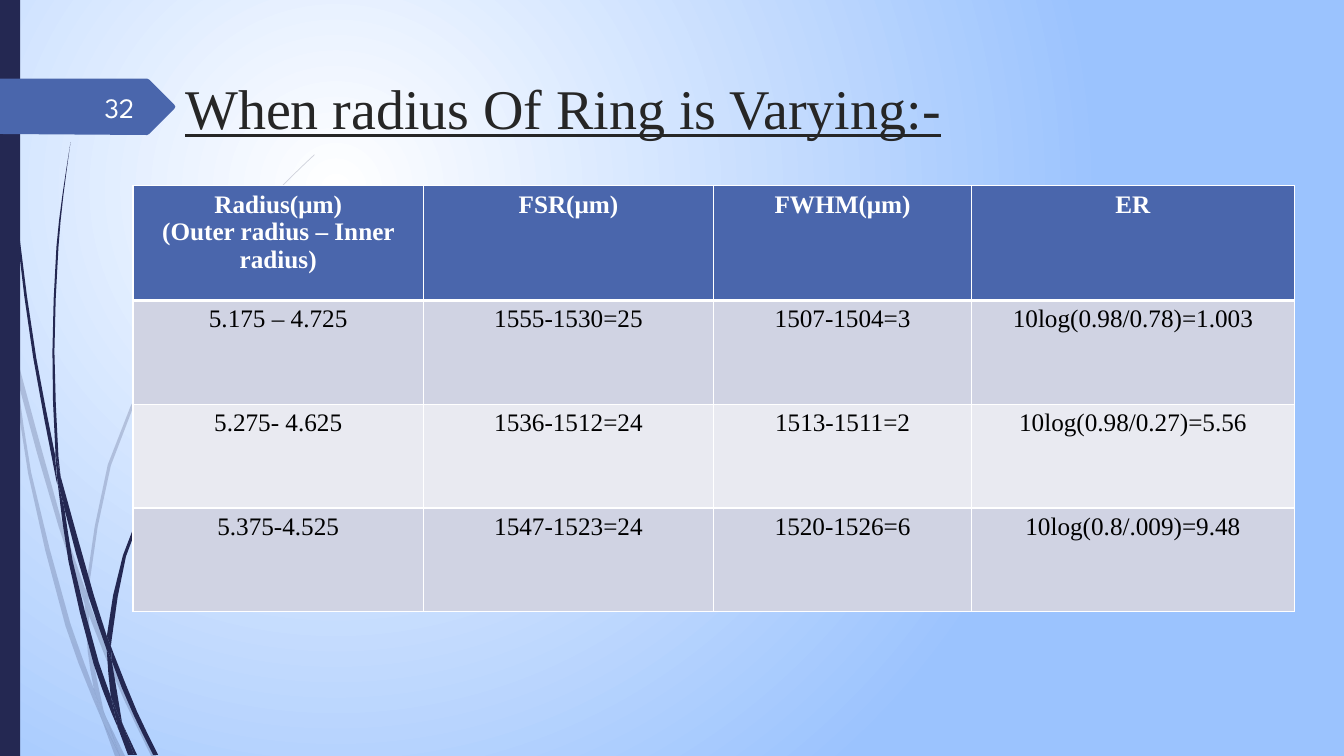
from dataclasses import dataclass

from pptx import Presentation
from pptx.dml.color import RGBColor
from pptx.enum.shapes import MSO_SHAPE
from pptx.enum.text import MSO_ANCHOR, PP_ALIGN
from pptx.oxml.ns import qn
from pptx.util import Pt
from lxml import etree

RECTANGLE = MSO_SHAPE.RECTANGLE
TOP, MIDDLE = MSO_ANCHOR.TOP, MSO_ANCHOR.MIDDLE
LEFT, CENTER, RIGHT = PP_ALIGN.LEFT, PP_ALIGN.CENTER, PP_ALIGN.RIGHT

NAVY, BLUE, WHITE = "242852", "4A66AC", "FFFFFF"
BANDS = ("D0D3E3", "E9EAF1")
SERIF = "Times New Roman"
UNIT = 0.72
CORNER_COSINE = 0.8
LONG_SPAN = 30

PALE_STRANDS = (
    "11,350 9,322 0,282 0,299 10,344",
    "58,522 84,599 85,586 62,520 14,345 17,376",
    "92,607 88,596 88,610 123,694 150,750 155,750 127,692",
    "119,750 124,750 105,711",
    "93,683 70,619 31,469 17,376 11,350 28,470 65,621 92,693 101,714 99,707",
    "84,599 87,646 93,683 96,692 105,711 103,706 91,646 88,610 88,608",
    "88,584 110,462 160,349 229,245 268,198 290,175 312,154 312,153 289,175 "
    "268,197 228,244 158,348 107,461 85,584 85,586 88,596",
    "101,714 114,750 119,750",
    "88,608 88,610 88,596 85,586 84,599",
    "96,692 93,683 99,707 101,714 119,750 105,711",
)
DARK_STRANDS = (
    "7,110 17,233 33,355 56,477 57,481 55,457 55,453 36,355 19,232 8,109 "
    "5,48 4,0 3,0 4,48",
    "88,592 106,645 106,633 106,631 93,590 60,472 64,505",
    "113,649 110,641 111,656 132,708 152,749 157,749 136,706",
    "110,691 98,657 72,556 64,505 57,477 68,557 93,659 111,708 117,722 116,717",
    "60,472 58,453 54,349 58,245 63,193 70,141 62,193 56,245 52,349 55,449",
    "133,749 136,749 122,719",
    "57,477 64,505 60,472 55,449 55,453",
    "111,633 125,552 158,476 205,406 231,374 245,359 261,344 260,344 245,358 "
    "231,373 204,405 156,474 122,551 106,631 110,641",
    "117,722 127,749 131,749",
    "106,645 110,691 116,706 122,719 121,716 111,656 109,651",
    "106,645 109,651 111,656 110,641 106,631 106,633",
    "116,706 110,691 116,717 117,722 130,749 133,749 122,719",
)
NUMBER_TAG = "0,78 146,78 148,79 173,104 174,106 173,108 148,133 146,134 0,133"

COLUMN_WIDTHS = (207.36, 207.36, 184.32, 230.4)
ROW_HEIGHTS = (82.08, 74.16, 74.16, 74.16)
ROWS = (
    ("Radius(μm)\n(Outer radius – Inner radius)", "FSR(μm)", "FWHM(μm)", "ER"),
    ("5.175 – 4.725", "1555-1530=25", "1507-1504=3", "10log(0.98/0.78)=1.003"),
    ("5.275- 4.625", "1536-1512=24", "1513-1511=2", "10log(0.98/0.27)=5.56"),
    ("5.375-4.525", "1547-1523=24", "1520-1526=6", "10log(0.8/.009)=9.48"),
)


@dataclass(frozen=True)
class Outline:
    points: str
    color: str
    opacity: int = 100
    steps: int = 2


@dataclass(frozen=True)
class Label:
    text: str
    frame: tuple[float, float, float, float]
    color: str
    font: dict
    align: PP_ALIGN = LEFT
    anchor: MSO_ANCHOR = TOP


OUTLINES = (
    *(Outline(points, NAVY, 20) for points in PALE_STRANDS),
    *(Outline(points, NAVY) for points in DARK_STRANDS),
)
LABELS = (
    Label("When radius Of Ring is Varying:-", (125.28, 48.96, 781.2, 100.8), "262626",
          {"name": SERIF, "size": Pt(40), "underline": True}),
    Label("32", (41.76, 61.92, 61.2, 28.8), "FEFFFF",
          {"name": "League Spartan", "size": Pt(20)}, RIGHT, MIDDLE),
)


def rgb(color: str) -> RGBColor:
    return RGBColor.from_string(color)


def paint_shape(shape, color: str, opacity: int = 100) -> None:
    shape.shadow.inherit = False
    shape.line.fill.background()
    shape.fill.solid()
    shape.fill.fore_color.rgb = rgb(color)
    if opacity < 100:
        tint = shape.element.spPr.find(qn("a:solidFill"))[0]
        etree.SubElement(tint, qn("a:alpha"), val=str(opacity * 1000))


def paint_background(page) -> None:
    fill = page.background.fill
    fill.gradient()
    for stop, color in zip(fill.gradient_stops, (WHITE, "9BC3FE")):
        stop.color.rgb = rgb(color)
    gradient = page.element.xpath(".//a:gradFill")[0]
    gradient.remove(gradient.find(qn("a:lin")))
    circle = etree.SubElement(gradient, qn("a:path"), path="circle")
    etree.SubElement(circle, qn("a:fillToRect"),
                     l="50000", t="50000", r="100000", b="100000")


def direction(before: complex, point: complex, after: complex) -> complex | None:
    arriving, leaving = point - before, after - point
    cosine = (arriving.conjugate() * leaving).real / (abs(arriving) * abs(leaving))
    chord = after - before
    return chord / abs(chord) if cosine > CORNER_COSINE else None


def smooth(points: list[complex], steps: int) -> list[complex]:
    count = len(points)
    tangents = [direction(points[i - 1], points[i], points[(i + 1) % count])
                for i in range(count)]
    curve = []
    for i, start in enumerate(points):
        end = points[(i + 1) % count]
        span = end - start
        reach = abs(span) / 3
        leaving, arriving = tangents[i], tangents[(i + 1) % count]
        first = start + (span / 3 if leaving is None else leaving * reach)
        second = end - (span / 3 if arriving is None else arriving * reach)
        pieces = steps if abs(span) > LONG_SPAN else 1
        for piece in range(pieces):
            t = piece / pieces
            curve.append((1 - t) ** 3 * start + 3 * t * (1 - t) ** 2 * first
                         + 3 * t * t * (1 - t) * second + t ** 3 * end)
    return curve


def draw_outline(page, outline: Outline) -> None:
    anchors = [complex(*map(float, pair.split(","))) for pair in outline.points.split()]
    start, *others = [(Pt(point.real * UNIT), Pt(point.imag * UNIT))
                      for point in smooth(anchors, outline.steps)]
    builder = page.shapes.build_freeform(*start)
    builder.add_line_segments(others, close=True)
    paint_shape(builder.convert_to_shape(), outline.color, outline.opacity)


def write_text(frame, text: str, color: str, font: dict, align: PP_ALIGN) -> None:
    frame.text = text
    for para in frame.paragraphs:
        para.alignment = align
        for span in para.runs:
            for name, value in font.items():
                setattr(span.font, name, value)
            span.font.color.rgb = rgb(color)


def draw_label(page, label: Label) -> None:
    box = page.shapes.add_textbox(*map(Pt, label.frame))
    box.text_frame.word_wrap = True
    box.text_frame.vertical_anchor = label.anchor
    write_text(box.text_frame, label.text, label.color, label.font, label.align)


def draw_borders(cell, widths: dict[str, float]) -> None:
    properties = cell._tc.get_or_add_tcPr()
    for side, width in widths.items():
        line = etree.SubElement(properties, qn(f"a:ln{side}"), w=str(Pt(width)))
        fill = etree.SubElement(line, qn("a:solidFill"))
        etree.SubElement(fill, qn("a:srgbClr"), val=WHITE)


def draw_table(page) -> None:
    table = page.shapes.add_table(
        len(ROWS), len(COLUMN_WIDTHS), Pt(95.04), Pt(132.48),
        Pt(sum(COLUMN_WIDTHS)), Pt(sum(ROW_HEIGHTS))).table
    for column, width in zip(table.columns, COLUMN_WIDTHS):
        column.width = Pt(width)
    for r, (texts, height) in enumerate(zip(ROWS, ROW_HEIGHTS)):
        table.rows[r].height = Pt(height)
        header = r == 0
        for c, text in enumerate(texts):
            cell = table.cell(r, c)
            draw_borders(cell, {"L": 1, "R": 1, "T": 3 if r == 1 else 1,
                                "B": 3 if header else 1})
            cell.fill.solid()
            cell.fill.fore_color.rgb = rgb(BLUE if header else BANDS[(r - 1) % 2])
            write_text(cell.text_frame, text, WHITE if header else "000000",
                       {"name": SERIF, "size": Pt(18), "bold": header}, CENTER)


def main() -> None:
    deck = Presentation()
    deck.slide_width, deck.slide_height = Pt(960), Pt(540)
    page = deck.slides.add_slide(deck.slide_layouts[6])
    paint_background(page)
    for outline in OUTLINES:
        draw_outline(page, outline)
    paint_shape(page.shapes.add_shape(RECTANGLE, 0, 0, Pt(14.4), Pt(540)), NAVY)
    draw_outline(page, Outline(NUMBER_TAG, BLUE, steps=1))
    title, number = LABELS
    draw_label(page, title)
    draw_table(page)
    draw_label(page, number)
    deck.save("out.pptx")


if __name__ == "__main__":
    main()
